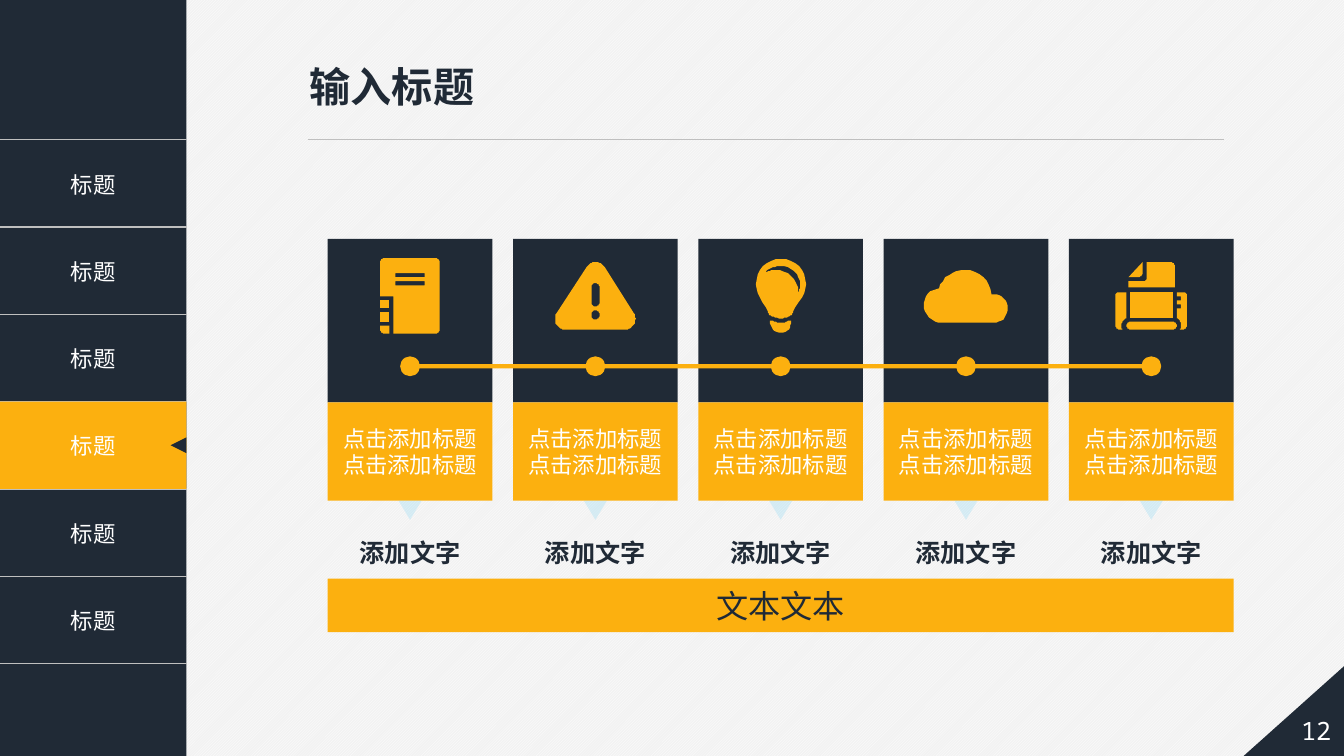
import dataclasses

import lxml.etree
import pptx
import pptx.dml.color
import pptx.enum.dml
import pptx.enum.shapes
import pptx.enum.text
import pptx.oxml
import pptx.oxml.ns
import pptx.util

Cm, Pt = pptx.util.Cm, pptx.util.Pt
RGBColor = pptx.dml.color.RGBColor
SHAPE = pptx.enum.shapes.MSO_SHAPE
ALIGN = pptx.enum.text.PP_ALIGN
ANCHOR = pptx.enum.text.MSO_ANCHOR
qn = pptx.oxml.ns.qn

NAVY = RGBColor(0x20, 0x2A, 0x36)
AMBER = RGBColor(0xFC, 0xB0, 0x0F)
SKY = RGBColor(0x5E, 0xCC, 0xF3)
RULE_GREY = RGBColor(0xBF, 0xBF, 0xBF)
PALE_GREY = RGBColor(0xF2, 0xF2, 0xF2)
WHITE = RGBColor(0xFF, 0xFF, 0xFF)

CJK = "Noto Sans CJK SC"
TITLE_FONT = {"size": Pt(29.4), "name": "Arial", "bold": True}
BODY_FONT = {"size": Pt(16), "name": CJK, "bold": False}
LABEL_FONT = {"size": Pt(18), "name": CJK, "bold": True}
FOOTER_FONT = {"size": Pt(23), "name": CJK, "bold": False}
NUMBER_FONT = {"size": Pt(18), "name": "Noto Sans Mono", "bold": False}
TIGHT = {"margin_left": Cm(0.2), "margin_right": Cm(0.2),
         "margin_top": Cm(0.1), "margin_bottom": Cm(0.1)}

# Icon outlines, measured from the top left of a card in hundredths of an inch.
# A pair is a corner; six numbers are a Bézier curve. Each part lists its contours.
ICON_UNIT = Cm(2.54) // 100
NOTEBOOK = [
    [[(57, 19), (107, 19), (109, 19, 111, 21, 111, 23), (111, 90), (111, 92, 109, 94, 107, 94),
      (65, 94), (65, 57), (52, 57), (52, 23), (52, 21, 54, 19, 57, 19)],
     [(67, 46), (96, 46), (96, 42), (67, 42)],
     [(67, 38), (96, 38), (96, 34), (67, 34)]],
    [[(61, 94), (57, 94), (54, 94, 52, 92, 52, 90), (52, 86), (61, 86)]],
    [[(52, 61), (61, 61), (61, 69), (52, 69)]],
    [[(52, 73), (61, 73), (61, 82), (52, 82)]]]
WARNING = [
    [[(73, 28), (75, 25, 78, 23, 82, 23), (85, 23, 89, 25, 91, 28), (120, 74),
      (122, 77, 122, 81, 120, 85), (118, 88, 115, 90, 111, 90), (52, 90),
      (48, 90, 45, 88, 43, 85), (41, 81, 41, 77, 43, 74)],
     [(82, 80), (84, 80, 86, 78, 86, 76), (86, 73, 84, 71, 82, 71),
      (79, 71, 78, 73, 78, 76), (78, 78, 79, 80, 82, 80)],
     [(78, 63), (78, 65, 79, 67, 82, 67), (84, 67, 86, 65, 86, 63), (86, 48),
      (86, 46, 84, 44, 82, 44), (79, 44, 78, 46, 78, 48)]]]
BULB = [
    [[(73, 81), (75, 82, 78, 83, 81, 83), (86, 83, 88, 82, 90, 81), (92, 81),
      (92, 88, 89, 93, 82, 93), (75, 93, 71, 88, 71, 81)]],
    [[(82, 20), (96, 20, 107, 31, 107, 45), (107, 58, 94, 68, 94, 72), (94, 74, 93, 76, 89, 77),
      (88, 78, 85, 78, 83, 79), (80, 79, 77, 78, 74, 77), (71, 76, 69, 74, 69, 72),
      (69, 68, 57, 58, 57, 45), (57, 31, 68, 20, 82, 20)],
     [(77, 31), (89, 31, 99, 40, 99, 52), (99, 54), (100, 51, 101, 49, 101, 46),
      (101, 35, 92, 27, 81, 27), (74, 27, 69, 30, 65, 34), (68, 32, 73, 31, 77, 31)]]]
CLOUD = [
    [[(55, 49), (58, 38, 69, 31, 81, 31), (95, 31, 106, 41, 107, 55), (109, 55),
      (117, 55, 123, 61, 123, 69), (123, 75, 119, 82, 112, 83), (58, 83),
      (48, 83, 40, 75, 40, 66), (40, 57, 46, 50, 55, 49)]]]
PRINTER = [
    [[(50, 53), (57, 53), (57, 79), (54, 80, 52, 83, 52, 86), (52, 88, 53, 90, 53, 90),
      (50, 90), (48, 90, 46, 88, 46, 86), (46, 57), (46, 54, 48, 53, 50, 53)]],
    [[(61, 82), (103, 82), (105, 82, 107, 84, 107, 86), (107, 88, 105, 90, 103, 90),
      (61, 90), (59, 90, 57, 88, 57, 86), (57, 84, 59, 82, 61, 82)]],
    [[(107, 78), (107, 69), (111, 69), (111, 65), (107, 65), (107, 61), (111, 61), (111, 57),
      (107, 57), (107, 53), (113, 53), (115, 53, 117, 54, 117, 57), (117, 86),
      (117, 88, 115, 90, 113, 90), (110, 90), (111, 88, 111, 87, 111, 86),
      (111, 83, 110, 80, 107, 79)]],
    [[(69, 38), (59, 38), (73, 23), (73, 34), (73, 36, 71, 38, 69, 38)]],
    [[(59, 42), (73, 42), (76, 42, 77, 40, 77, 38), (77, 23), (100, 23),
      (103, 23, 105, 25, 105, 28), (105, 48), (59, 48)]],
    [[(61, 53), (103, 53), (103, 78), (61, 78)]]]
ICONS = [NOTEBOOK, WARNING, BULB, CLOUD, PRINTER]


@dataclasses.dataclass
class Box:
    left: int
    top: int
    width: int
    height: int


def paint(shape, color):
    shape.shadow.inherit = False
    shape.fill.solid()
    shape.fill.fore_color.rgb = color
    shape.line.fill.background()


def add_block(page, kind, left, top, width, height, color):
    block = page.shapes.add_shape(kind, left, top, width, height)
    paint(block, color)
    return block


def write(frame, lines, font, color, align=ALIGN.CENTER, frame_format=TIGHT):
    for name, value in frame_format.items():
        setattr(frame, name, value)
    frame.vertical_anchor = ANCHOR.MIDDLE
    for index, line in enumerate(lines):
        para = frame.add_paragraph() if index else frame.paragraphs[0]
        para.alignment = align
        span = para.add_run()
        span.text = line
        for name, value in font.items():
            setattr(span.font, name, value)
        span.font.color.rgb = color
        lxml.etree.SubElement(span.font._element, qn("a:ea"), typeface=font["name"])


def flatten(contour, steps=8):
    """Turn corners and Bézier curves into a list of points."""
    points = [contour[0]]
    for piece in contour[1:]:
        if len(piece) == 2:
            points.append(piece)
            continue
        x0, y0 = points[-1]
        x1, y1, x2, y2, x3, y3 = piece
        for step in range(1, steps + 1):
            t = step / steps
            weights = ((1 - t) ** 3, 3 * t * (1 - t) ** 2, 3 * t * t * (1 - t), t ** 3)
            points.append((sum(w * x for w, x in zip(weights, (x0, x1, x2, x3))),
                           sum(w * y for w, y in zip(weights, (y0, y1, y2, y3)))))
    return points


def add_icon(page, parts, box):
    group = page.shapes.add_group_shape()
    for contours in parts:
        outlines = [flatten(contour) for contour in contours]
        builder = group.shapes.build_freeform(*outlines[0][0], scale=ICON_UNIT)
        for outline in outlines:
            builder.move_to(*outline[0])
            builder.add_line_segments(outline[1:], close=True)
        paint(builder.convert_to_shape(box.left, box.top), AMBER)


def set_row_borders(cell):
    """Rule a cell above and below, with open sides."""
    cell_format = cell._tc.get_or_add_tcPr()
    for index, side in enumerate(("lnL", "lnR", "lnT", "lnB")):
        border = lxml.etree.Element(qn("a:" + side), w=str(Pt(1)))
        if side in ("lnT", "lnB"):
            fill = lxml.etree.SubElement(border, qn("a:solidFill"))
            lxml.etree.SubElement(fill, qn("a:srgbClr"), val=str(RULE_GREY))
        else:
            lxml.etree.SubElement(border, qn("a:noFill"))
        cell_format.insert(index, border)


def add_menu(page, box, active_row=3, row_count=6):
    add_block(page, SHAPE.RECTANGLE, box.left, box.top, box.width, box.height, NAVY)
    top, row_height = box.top + Cm(3.52), Cm(2.2)
    table = page.shapes.add_table(row_count, 1, box.left, top, box.width,
                                  row_height * row_count).table
    table.first_row = table.horz_banding = False
    for row in table.rows:
        row.height = row_height
        cell = row.cells[0]
        cell.fill.background()
        set_row_borders(cell)
        write(cell.text_frame, ["标题"], BODY_FONT, WHITE, frame_format={})
        cell.vertical_anchor = ANCHOR.MIDDLE
    active_top = top + row_height * active_row
    active = add_block(page, SHAPE.RECTANGLE, box.left, active_top, box.width, row_height, AMBER)
    write(active.text_frame, ["标题"], BODY_FONT, WHITE)
    size = Cm(0.4)
    pointer = add_block(page, SHAPE.ISOSCELES_TRIANGLE, box.left + box.width - size,
                        active_top + (row_height - size) // 2, size, size, NAVY)
    pointer.rotation = 270


def add_heading(page, box):
    title = page.shapes.title
    title.left, title.top, title.width, title.height = (
        box.left - Cm(0.2), box.top, box.width, Cm(1.5))
    frame_format = {"auto_size": pptx.enum.text.MSO_AUTO_SIZE.NONE, "word_wrap": False}
    write(title.text_frame, ["输入标题"], TITLE_FONT, NAVY, ALIGN.LEFT, frame_format)
    bottom = box.top + box.height
    rule = page.shapes.add_connector(pptx.enum.shapes.MSO_CONNECTOR.STRAIGHT,
                                     box.left, bottom, box.left + box.width, bottom)
    rule.line.color.rgb = RULE_GREY
    rule.line.width = Pt(0.5)
    lxml.etree.SubElement(rule._element.spPr, qn("a:effectLst"))


def add_page_number(page, box):
    corner = add_block(page, SHAPE.RIGHT_TRIANGLE, box.left, box.top, box.width, box.height, NAVY)
    corner._element.spPr.xfrm.set("flipH", "1")
    number = page.shapes.add_textbox(box.left + Cm(1.2), box.top + Cm(1), Cm(1.3), Cm(1.4))
    write(number.text_frame, ["12"], NUMBER_FONT, WHITE)
    number.text_frame.word_wrap = False


def add_card(page, parts, box):
    head = Cm(4.12)
    body = Cm(2.48)
    add_block(page, SHAPE.RECTANGLE, box.left, box.top, box.width, head, NAVY)
    caption = add_block(page, SHAPE.RECTANGLE, box.left, box.top + head, box.width, body, AMBER)
    write(caption.text_frame, ["点击添加标题"] * 2, BODY_FONT, WHITE)
    add_icon(page, parts, box)
    width = Cm(0.58)
    arrow = add_block(page, SHAPE.ISOSCELES_TRIANGLE, box.left + (box.width - width) // 2,
                      box.top + head + body, width, Cm(0.48), SKY)
    arrow._element.spPr.xfrm.set("flipV", "1")
    color = arrow._element.spPr.find(".//" + qn("a:srgbClr"))
    lxml.etree.SubElement(color, qn("a:alpha"), val="20000")
    label = page.shapes.add_textbox(box.left, box.top + Cm(7.39), box.width, Cm(1))
    write(label.text_frame, ["添加文字"], LABEL_FONT, NAVY)
    label.text_frame.word_wrap = False


def add_process(page, box):
    """Place the cards, the timeline across them and the bar below."""
    card_width = Cm(4.15)
    step = (box.width - card_width) // (len(ICONS) - 1)
    lefts = [box.left + step * index for index in range(len(ICONS))]
    for left, parts in zip(lefts, ICONS):
        add_card(page, parts, Box(left, box.top, card_width, box.height))
    dot, thickness = Cm(0.5), Cm(0.11)
    middle = box.top + Cm(3.21)
    for left in lefts:
        add_block(page, SHAPE.OVAL, left + (card_width - dot) // 2, middle - dot // 2,
                  dot, dot, AMBER)
    add_block(page, SHAPE.RECTANGLE, box.left + card_width // 2, middle - thickness // 2,
              step * (len(ICONS) - 1), thickness, AMBER)
    bar_height = Cm(1.35)
    bar = add_block(page, SHAPE.RECTANGLE, box.left, box.top + box.height - bar_height,
                    box.width, bar_height, AMBER)
    write(bar.text_frame, ["文本文本"], FOOTER_FONT, NAVY)


def main():
    deck = pptx.Presentation()
    deck.slide_width, deck.slide_height = Cm(33.87), Cm(19.05)
    page = deck.slides.add_slide(deck.slide_layouts[5])
    backdrop = page.background.fill
    backdrop.patterned()
    backdrop.pattern = pptx.enum.dml.MSO_PATTERN.LIGHT_UPWARD_DIAGONAL
    backdrop.fore_color.rgb, backdrop.back_color.rgb = WHITE, PALE_GREY
    add_menu(page, Box(0, 0, Cm(4.7), deck.slide_height))
    add_heading(page, Box(Cm(7.75), Cm(1.42), Cm(23.1), Cm(2.1)))
    add_page_number(page, Box(Cm(31.32), Cm(16.71), Cm(2.64), Cm(2.36)))
    add_process(page, Box(Cm(8.26), Cm(6.02), Cm(22.83), Cm(9.91)))
    deck.save("out.pptx")


if __name__ == "__main__":
    main()
